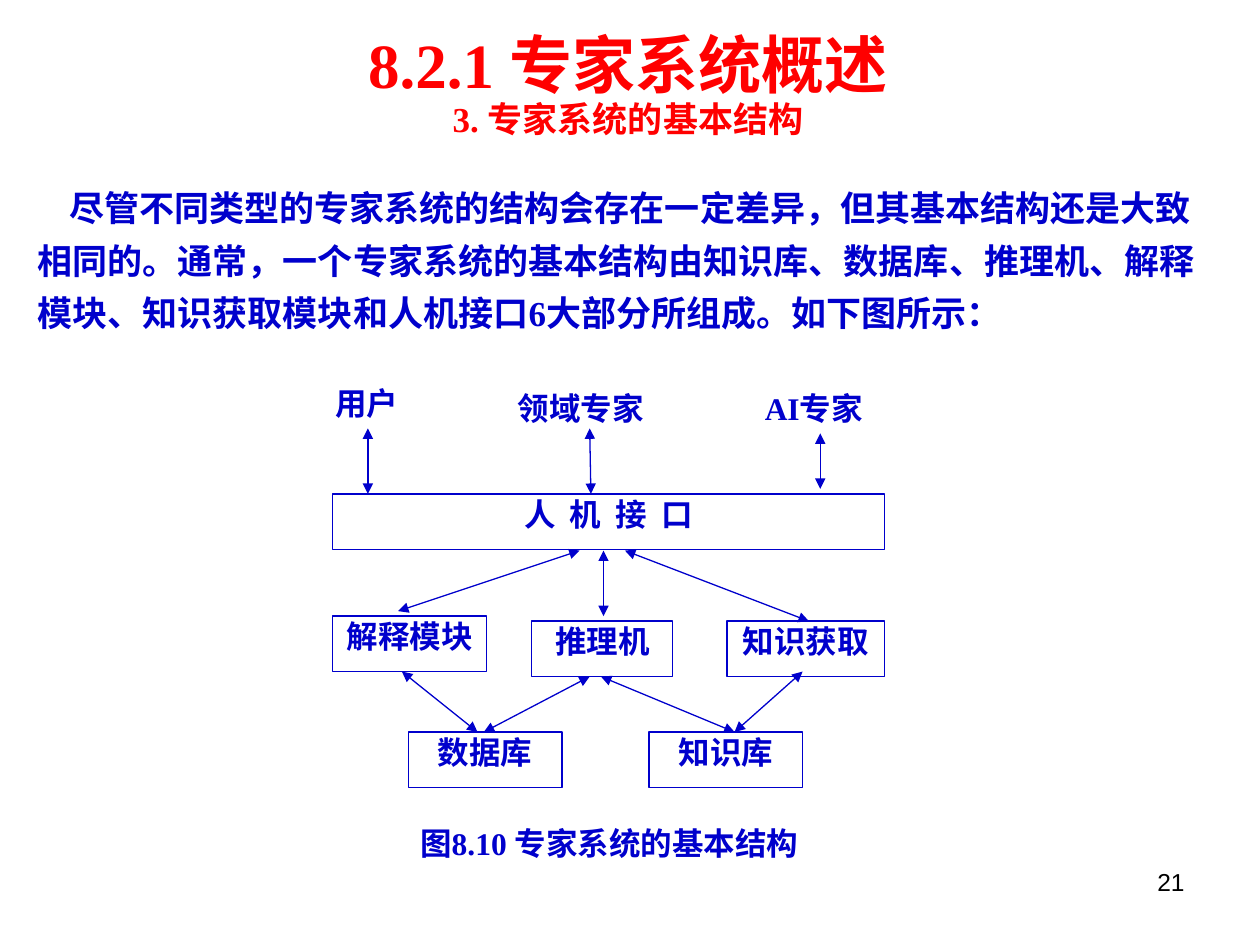
from pptx import Presentation
from pptx.dml.color import RGBColor
from pptx.enum import shapes, text
from pptx.oxml import ns
from pptx.util import Inches, Pt
from lxml import etree

COLORS = {"blue": "0000CC", "red": "FF0000", "black": "000000", "white": "FFFFFF"}
ALIGN = text.PP_ALIGN
NODE_HEIGHT = 0.44

NODES = [
    ("人  机  接  口", 0, 0.88, 4.38),
    ("解释模块", 0, 1.85, 1.22),
    ("推理机", 1.58, 1.89, 1.12),
    ("知识获取", 3.13, 1.89, 1.25),
    ("数据库", 0.6, 2.77, 1.22),
    ("知识库", 2.51, 2.77, 1.22),
]
LABELS = [
    ("用户", 0, 0, 0.71, ALIGN.JUSTIFY),
    ("领域专家", 1.45, 0.04, 1.22, ALIGN.JUSTIFY),
    ("AI专家", 3.41, 0.04, 1.03, ALIGN.JUSTIFY),
    ("图8.10 专家系统的基本结构", 0.39, 3.49, 3.61, ALIGN.CENTER),
]
ARROWS = [
    (0.28, 0.36, 0.28, 0.88),
    (2.04, 0.36, 2.05, 0.88),
    (3.87, 0.4, 3.87, 0.84),
    (1.96, 1.33, 0.52, 1.81),
    (2.15, 1.33, 2.15, 1.85),
    (2.32, 1.33, 3.78, 1.89),
    (0.55, 2.29, 1.15, 2.77),
    (2.04, 2.33, 1.2, 2.77),
    (3.73, 2.29, 3.19, 2.77),
    (2.13, 2.33, 3.19, 2.77),
]


def rgb(name):
    """Return the named colour."""
    return RGBColor.from_string(COLORS[name])


def style(para, size, color, align, font="Times New Roman", bold=True):
    """Format a paragraph and its runs."""
    para.alignment = align
    for span in para.runs:
        span.font.size = Pt(size)
        span.font.name = font
        span.font.bold = bold
        span.font.color.rgb = rgb(color)


def add_text(page, box, lines):
    """Add a wrapping text box with one paragraph per line and return its frame."""
    frame = page.shapes.add_textbox(*map(Inches, box)).text_frame
    frame.word_wrap = True
    frame.text = "\n".join(lines)
    return frame


def add_title(page, box):
    """Place the two-line heading in its box."""
    frame = add_text(page, box, ["8.2.1 专家系统概述", "3. 专家系统的基本结构"])
    frame.vertical_anchor = text.MSO_ANCHOR.MIDDLE
    for para, size in zip(frame.paragraphs, (36, 20)):
        style(para, size, "red", ALIGN.CENTER)
        para.line_spacing = 0.9


def add_body(page, box):
    """Place the introduction with an indented first line."""
    frame = add_text(page, box, [
        "尽管不同类型的专家系统的结构会存在一定差异，但其基本结构还是大致相同的。"
        "通常，一个专家系统的基本结构由知识库、数据库、推理机、解释模块、"
        "知识获取模块和人机接口6大部分所组成。如下图所示："])
    para = frame.paragraphs[0]
    style(para, 20, "blue", ALIGN.LEFT)
    para.line_spacing = 1.25
    properties = para._p.get_or_add_pPr()
    properties.set("marL", "0")
    properties.set("indent", str(Inches(0.25)))


def add_page_number(page, box):
    """Place the page number at the right of its box."""
    frame = add_text(page, box, ["21"])
    style(frame.paragraphs[0], 14, "black", ALIGN.RIGHT, "Arial", False)


def add_node(group, box, words, align=ALIGN.CENTER, outlined=True):
    """Add a white rectangle with text at its top."""
    node = group.shapes.add_shape(shapes.MSO_SHAPE.RECTANGLE, *map(Inches, box))
    node.shadow.inherit = False
    node.fill.solid()
    node.fill.fore_color.rgb = rgb("white")
    if outlined:
        node.line.color.rgb = rgb("blue")
        node.line.width = Pt(0.75)
    else:
        node.line.fill.background()
    frame = node.text_frame
    frame.word_wrap = True
    frame.vertical_anchor = text.MSO_ANCHOR.TOP
    frame.margin_left = frame.margin_right = Inches(0.02)
    frame.margin_top = frame.margin_bottom = Inches(0.01)
    frame.text = words
    style(frame.paragraphs[0], 18, "blue", align)


def add_arrow(group, ends):
    """Add a thin line with a triangle at both ends."""
    arrow = group.shapes.add_connector(shapes.MSO_CONNECTOR.STRAIGHT, *map(Inches, ends))
    arrow.line.color.rgb = rgb("blue")
    arrow.line.width = Pt(0.75)
    line = arrow.line._get_or_add_ln()
    for end in ("a:headEnd", "a:tailEnd"):
        etree.SubElement(line, ns.qn(end)).set("type", "triangle")
    etree.SubElement(arrow._element.spPr, ns.qn("a:effectLst"))


def add_diagram(page, left, top):
    """Draw the expert system structure from its top left corner."""
    group = page.shapes.add_group_shape()
    for words, x, y, width, align in LABELS:
        add_node(group, (left + x, top + y, width, NODE_HEIGHT), words, align, False)
    for words, x, y, width in NODES:
        add_node(group, (left + x, top + y, width, NODE_HEIGHT), words)
    for x1, y1, x2, y2 in ARROWS:
        add_arrow(group, (left + x1, top + y1, left + x2, top + y2))


def main():
    """Build the slide and save the deck."""
    deck = Presentation()
    deck.slide_width, deck.slide_height = Inches(10), Inches(7.5)
    page = deck.slides.add_slide(deck.slide_layouts[6])
    add_page_number(page, (7.17, 6.83, 2.33, 0.52))
    add_diagram(page, 2.64, 3.04)
    add_body(page, (0.2, 1.35, 9.57, 1.35))
    add_title(page, (0.2, 0.22, 9.57, 0.94))
    deck.save("out.pptx")


if __name__ == "__main__":
    main()
